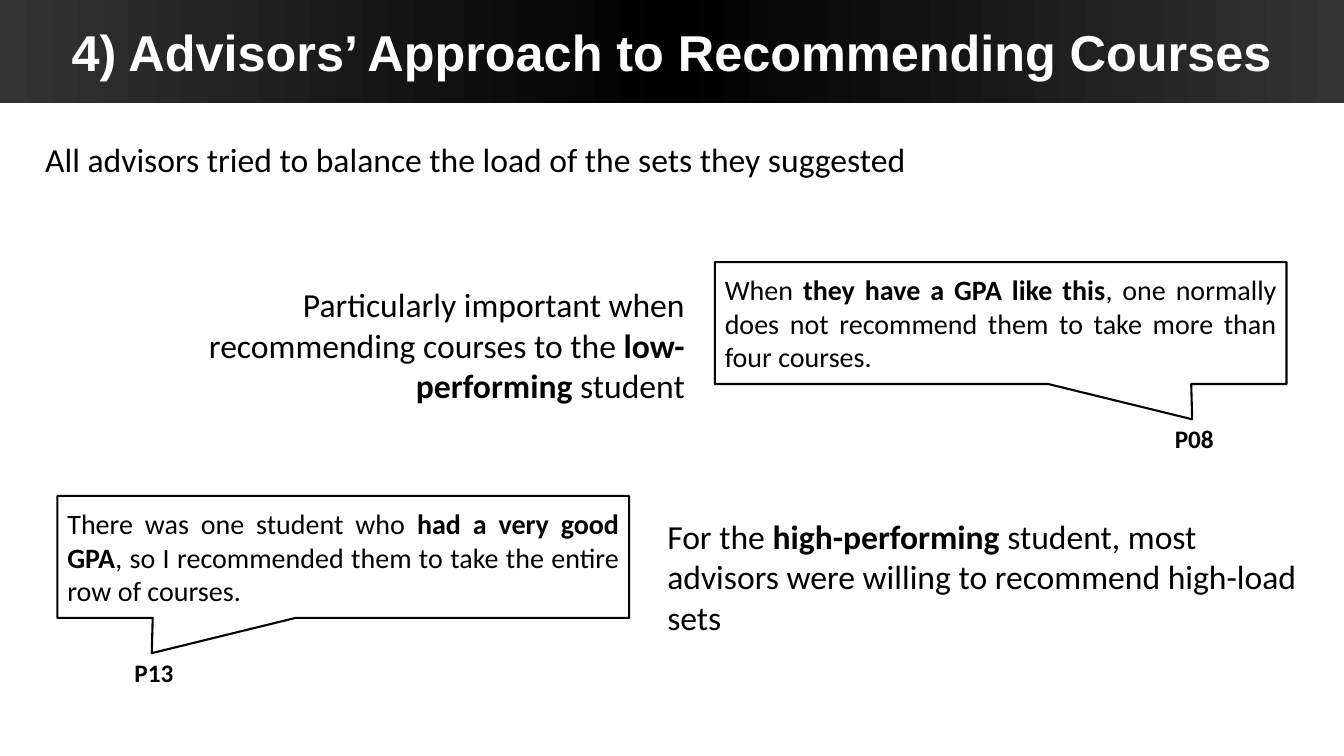
from copy import deepcopy

from pptx import Presentation
from pptx import util as u
from pptx.dml.color import RGBColor
from pptx.enum import shapes, text

BLACK, WHITE, GREY = "000000", "FFFFFF", "333333"
LEFT, CENTER = text.PP_ALIGN.LEFT, text.PP_ALIGN.CENTER
RIGHT, JUSTIFY = text.PP_ALIGN.RIGHT, text.PP_ALIGN.JUSTIFY


def paint(color_format, color):
    """Set a colour format from a hex string."""
    color_format.rgb = RGBColor.from_string(color)


def write(sp, content, size, align=LEFT, font="Calibri", color=BLACK):
    """Write one paragraph, with the parts between bars in bold."""
    p = sp.text_frame.paragraphs[0]
    p.alignment = align
    for i, part in enumerate(content.split("|")):
        if part:
            r = p.add_run()
            r.text = part
            r.font.name = font
            r.font.size = u.Pt(size)
            r.font.bold = i % 2 == 1
            paint(r.font.color, color)


def frame(sp, inset, wrap=True, grow=True):
    """Centre the text vertically, with equal insets on all sides."""
    tf = sp.text_frame
    tf.word_wrap = wrap
    tf.auto_size = (text.MSO_AUTO_SIZE.SHAPE_TO_FIT_TEXT if grow
                    else text.MSO_AUTO_SIZE.NONE)
    tf.vertical_anchor = text.MSO_ANCHOR.MIDDLE
    tf.margin_left = tf.margin_right = u.Inches(inset)
    tf.margin_top = tf.margin_bottom = u.Inches(inset)


def add_title(s, content, width):
    """Turn the title placeholder into a dark gradient banner."""
    sp = s.shapes.title
    sp.left, sp.top = u.Inches(0), u.Inches(0)
    sp.width, sp.height = u.Inches(width), u.Inches(1.02)
    sp.fill.gradient()
    sp.fill.gradient_angle = 180
    stop_list = sp._element.spPr.find(".//{*}gsLst")
    stop_list.insert(1, deepcopy(stop_list[0]))
    for stop, color, position in zip(sp.fill.gradient_stops,
                                     (GREY, BLACK, GREY), (0, 0.5, 1)):
        paint(stop.color, color)
        stop.position = position
    frame(sp, 0.1, grow=False)
    write(sp, content, 36, CENTER, "Arial", WHITE)


def add_statement(s, content, x, y, w, h, align=LEFT):
    """Add a wrapped text box with a finding."""
    sp = s.shapes.add_textbox(*map(u.Inches, (x, y, w, h)))
    sp.text_frame.word_wrap = True
    sp.text_frame.auto_size = text.MSO_AUTO_SIZE.SHAPE_TO_FIT_TEXT
    write(sp, content, 24, align)


def add_quote(s, content, speaker, x, y, tail):
    """Add a speech callout grouped with the speaker's label at its tail."""
    w, h, label_w = 5.67, 1.21, 0.39
    group = s.shapes.add_group_shape()
    sp = group.shapes.add_shape(shapes.MSO_SHAPE.RECTANGULAR_CALLOUT,
                                *map(u.Inches, (x, y, w, h)))
    sp.adjustments[0], sp.adjustments[1] = tail, 0.789
    sp.shadow.inherit = False
    sp.fill.solid()
    paint(sp.fill.fore_color, WHITE)
    paint(sp.line.color, BLACK)
    sp.line.width = u.Pt(1.5)
    frame(sp, 0.1)
    write(sp, content, 20, JUSTIFY)

    label_x = x + w * (0.5 + tail) - label_w / 2 + 0.02
    label = group.shapes.add_textbox(
        *map(u.Inches, (label_x, y + 1.6, label_w, 0.3)))
    frame(label, 0, wrap=False)
    write(label, f"|{speaker}|", 18, CENTER)


def main():
    """Build the slide and save it."""
    prs = Presentation()
    prs.slide_width, prs.slide_height = u.Inches(13.33), u.Inches(7.5)
    s = prs.slides.add_slide(prs.slide_layouts.get_by_name("Title Only"))
    add_title(s, "|4) Advisors’ Approach to Recommending Courses|", 13.33)
    add_statement(s, "All advisors tried to balance the load of the sets "
                  "they suggested", 0.35, 1.33, 11.54, 0.5)
    add_quote(s, "When |they have a GPA like this|, one normally does not "
              "recommend them to take more than four courses.",
              "P08", 7.09, 2.6, 0.335)
    add_statement(s, "Particularly important when recommending courses to "
                  "the |low-performing| student",
                  0.8, 2.77, 6.09, 0.91, RIGHT)
    add_quote(s, "There was one student who |had a very good GPA|, so I "
              "recommended them to take the entire row of courses.",
              "P13", 0.57, 4.92, -0.335)
    add_statement(s, "For the |high-performing| student, most advisors were "
                  "willing to recommend high-load sets",
                  6.52, 5.07, 6.52, 0.91)
    prs.save("out.pptx")


if __name__ == "__main__":
    main()
